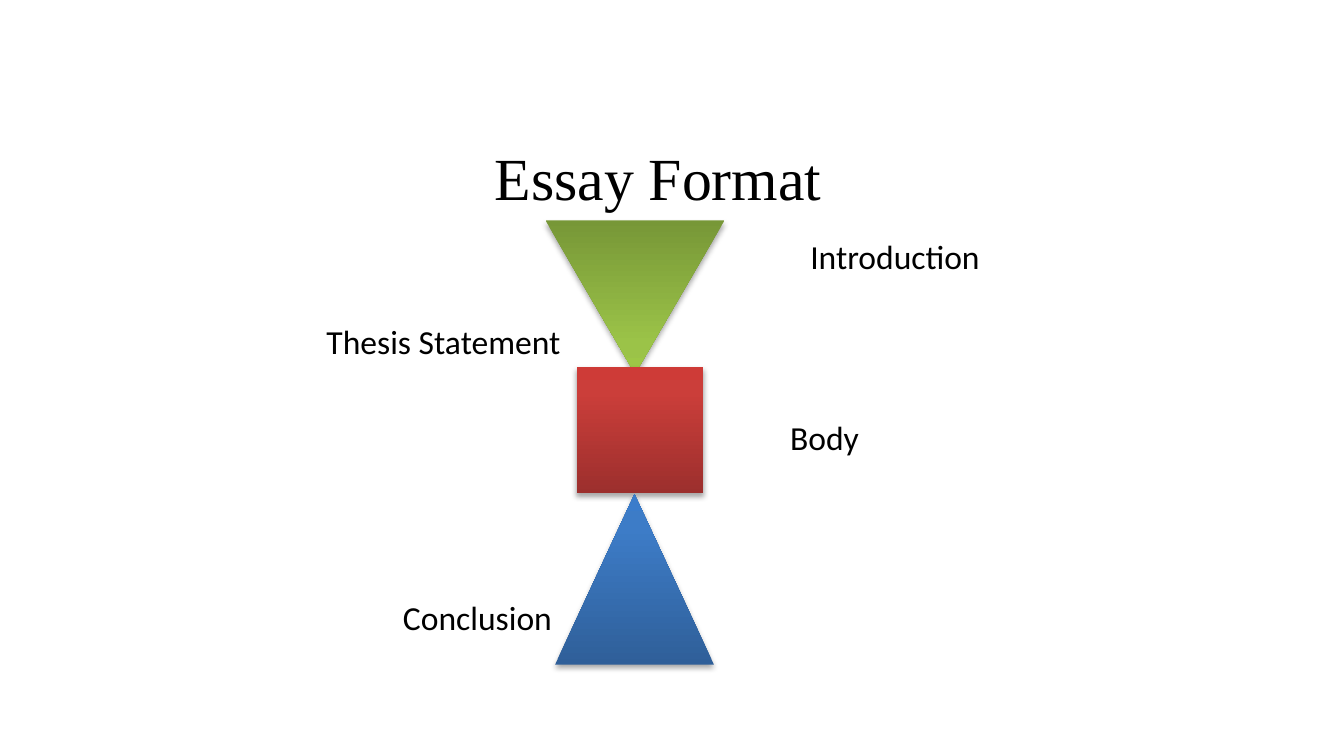
from copy import deepcopy

from lxml import etree
from pptx import Presentation
from pptx.dml.color import RGBColor
from pptx.enum.shapes import MSO_SHAPE
from pptx.enum.text import MSO_ANCHOR, MSO_AUTO_SIZE, PP_ALIGN
from pptx.oxml.ns import qn
from pptx.util import Pt

TRIANGLE = MSO_SHAPE.ISOSCELES_TRIANGLE
RECTANGLE = MSO_SHAPE.RECTANGLE
LEFT = PP_ALIGN.LEFT
TOP = MSO_ANCHOR.TOP
GROW = MSO_AUTO_SIZE.SHAPE_TO_FIT_TEXT

THEME = {
    "text": "000000",
    "title_font": "Times New Roman",
    "title_size": 32,
    "label_font": "Calibri",
    "label_size": 18,
    "green": ("779737", "9BC348", "9DC746"),
    "red": ("9C2F2D", "CB3E3A", "CE3B37"),
    "blue": ("2F5F99", "3D7CC7", "3A7CCB"),
    "stops": (0, 0.8, 1),
}

TITLE = ("Essay Format", (257.8, 72, 208, 45.4))
PARTS = [
    (TRIANGLE, "green", 180, (292.3, 118.1, 95.8, 82.1)),
    (RECTANGLE, "red", 0, (309, 196.6, 67.8, 67.8)),
    (TRIANGLE, "blue", 0, (297.4, 264.8, 85, 91.2)),
]
LABEL_HEIGHT = 28
LABELS = [
    ("Introduction", 427, 123.1, 110.2),
    ("Thesis Statement", 167.8, 168.5, 156.2),
    ("Body", 416.2, 219.6, 54.7),
    ("Conclusion", 208.8, 316.1, 102.2),
]


def place(shape, box):
    shape.left, shape.top, shape.width, shape.height = map(Pt, box)


def write(shape, text, box, font_name, size):
    frame = shape.text_frame
    frame.text = text
    frame.word_wrap = False
    frame.auto_size = GROW
    frame.vertical_anchor = TOP
    paragraph = frame.paragraphs[0]
    paragraph.alignment = LEFT
    font = paragraph.runs[0].font
    font.name = font_name
    font.size = Pt(size)
    font.color.rgb = RGBColor.from_string(THEME["text"])
    place(shape, box)


def fill_gradient(shape, colors):
    shape.fill.gradient()
    shape.fill.gradient_angle = 90
    stop_list = shape._element.spPr.find(".//" + qn("a:gsLst"))
    stop_list.append(deepcopy(stop_list[-1]))
    for stop, position, color in zip(shape.fill.gradient_stops, THEME["stops"], colors):
        stop.position = position
        stop.color.rgb = RGBColor.from_string(color)


def add_shadow(shape):
    shape.shadow.inherit = False
    effects = shape._element.spPr.find(qn("a:effectLst"))
    shadow = etree.SubElement(
        effects, qn("a:outerShdw"), blurRad=str(Pt(3.1)), dist=str(Pt(1.8)),
        dir="5400000", rotWithShape="0")
    color = etree.SubElement(shadow, qn("a:srgbClr"), val="000000")
    etree.SubElement(color, qn("a:alpha"), val="35000")


def main():
    presentation = Presentation()
    presentation.slide_width = Pt(720)
    presentation.slide_height = Pt(405)
    slide = presentation.slides.add_slide(presentation.slide_layouts[5])

    text, box = TITLE
    write(slide.shapes.title, text, box, THEME["title_font"], THEME["title_size"])

    for kind, color_name, rotation, box in PARTS:
        shape = slide.shapes.add_shape(kind, *map(Pt, box))
        shape.rotation = rotation
        fill_gradient(shape, THEME[color_name])
        shape.line.fill.background()
        add_shadow(shape)

    for text, left, top, width in LABELS:
        box = (left, top, width, LABEL_HEIGHT)
        label = slide.shapes.add_textbox(*map(Pt, box))
        write(label, text, box, THEME["label_font"], THEME["label_size"])

    presentation.save("out.pptx")


if __name__ == "__main__":
    main()
